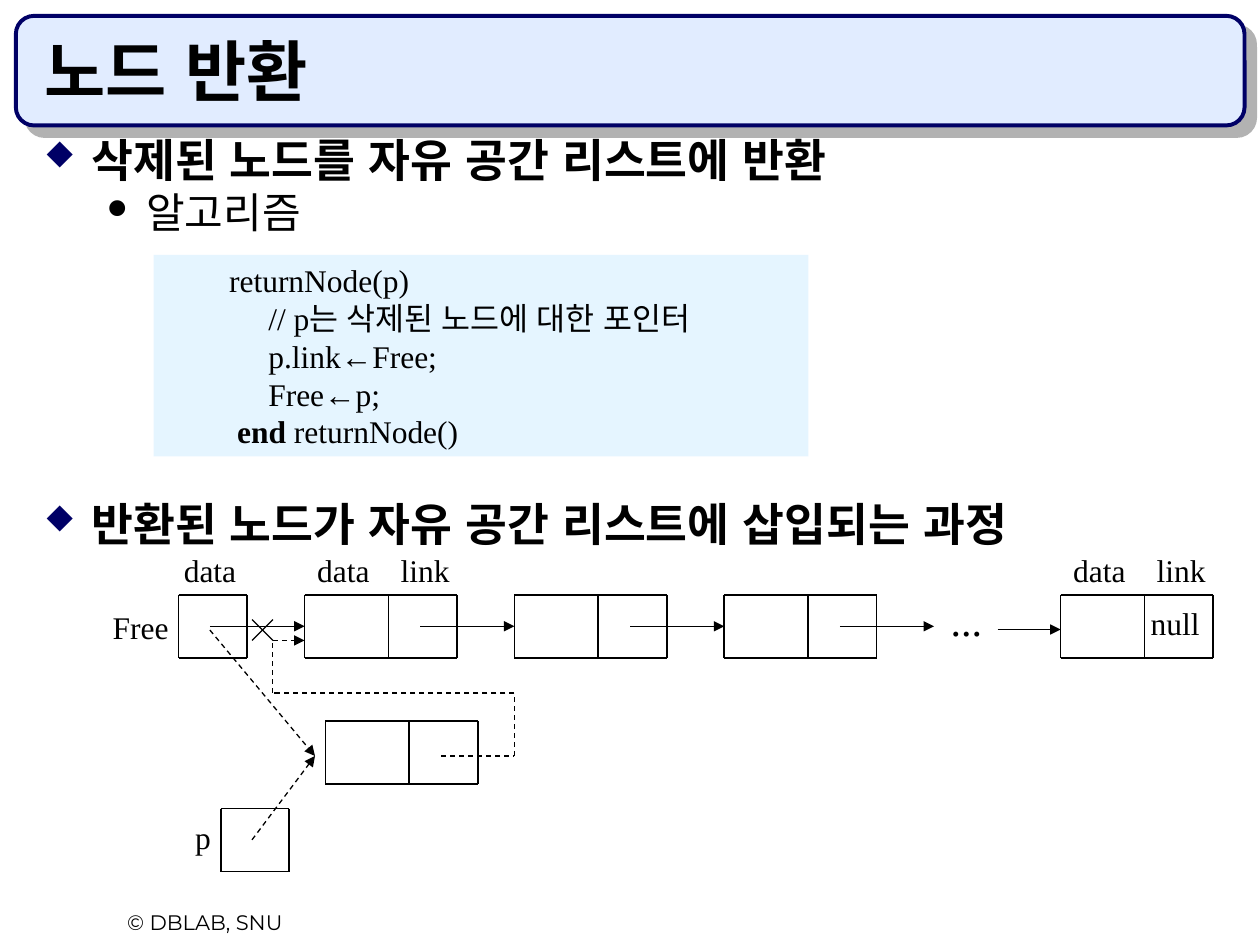
from itertools import pairwise

from lxml import etree
from pptx import Presentation
from pptx.dml.color import RGBColor
from pptx.enum.dml import MSO_LINE
from pptx.enum.shapes import MSO_CONNECTOR, MSO_SHAPE
from pptx.enum.text import MSO_ANCHOR, MSO_AUTO_SIZE, PP_ALIGN
from pptx.oxml.ns import qn
from pptx.util import Cm, Pt

BLACK = RGBColor(0x00, 0x00, 0x00)
NAVY = RGBColor(0x00, 0x00, 0x66)
PALE_BLUE = RGBColor(0xE1, 0xEC, 0xFF)
CODE_BLUE = RGBColor(0xCC, 0xEC, 0xFF)
GREY = RGBColor(0xB2, 0xB2, 0xB2)

LEFT, CENTER, RIGHT = PP_ALIGN.LEFT, PP_ALIGN.CENTER, PP_ALIGN.RIGHT
TOP, MIDDLE, BOTTOM = MSO_ANCHOR.TOP, MSO_ANCHOR.MIDDLE, MSO_ANCHOR.BOTTOM
NO_AUTOFIT = MSO_AUTO_SIZE.NONE
STRAIGHT = MSO_CONNECTOR.STRAIGHT
RECTANGLE, ROUNDED = MSO_SHAPE.RECTANGLE, MSO_SHAPE.ROUNDED_RECTANGLE
DASH = MSO_LINE.DASH

SERIF = "Times New Roman"
SANS = "Montserrat"
SYMBOLS = "Wingdings"
DIAMOND, DISC = "u", "l"

DATA_WIDTH, LINK_WIDTH, CELL_HEIGHT = 1.69, 1.38, 1.27
FIRST_NODE, NODE_PITCH, LAST_NODE = 6.14, 4.23, 21.38
ROW_TOP = 11.99
ROW_MIDDLE = ROW_TOP + CELL_HEIGHT / 2
LINK_START = 2.33
FREE_LEFT, P_LEFT, P_TOP = 3.6, 4.45, 16.3
LABEL_GAP = 0.2


def add_element(parent, tag, **attributes):
    return etree.SubElement(parent, qn(tag), attributes)


def style_para(para, size, name=SERIF, bold=False, align=LEFT):
    para.alignment = align
    font = para.font
    font.size, font.name, font.bold = Pt(size), name, bold
    font.color.rgb = BLACK
    add_element(para._p.pPr.find(qn("a:defRPr")), "a:ea", typeface=SANS)


def indent_para(para, margin, first=0):
    properties = para._p.get_or_add_pPr()
    properties.set("marL", str(Cm(margin)))
    properties.set("indent", str(Cm(first)))


def add_bullet(para, character, color, percent):
    properties = para._p.get_or_add_pPr()
    add_element(add_element(properties, "a:buClr"), "a:srgbClr", val=str(color))
    add_element(properties, "a:buSzPct", val=str(percent * 1000))
    add_element(properties, "a:buFont", typeface=SYMBOLS, pitchFamily="2", charset="2")
    add_element(properties, "a:buChar", char=character)


def add_label(page, text, left, top, width, height, size=18, name=SERIF,
              align=CENTER, anchor=MIDDLE, spacing=0.8):
    box = page.shapes.add_textbox(Cm(left), Cm(top), Cm(width), Cm(height))
    frame = box.text_frame
    frame.word_wrap = True
    frame.margin_left = frame.margin_right = 0
    frame.vertical_anchor = anchor
    para = frame.paragraphs[0]
    para.text = text
    para.line_spacing = spacing
    style_para(para, size, name, align=align)


def add_line(page, start, end, width=0.75, dashed=False, arrow=False):
    connector = page.shapes.add_connector(STRAIGHT, *map(Cm, start + end))
    line = connector.line
    line.color.rgb = BLACK
    line.width = Pt(width)
    if dashed:
        line.dash_style = DASH
    if arrow:
        add_element(line._get_or_add_ln(), "a:tailEnd", type="triangle")
    add_element(connector.element.spPr, "a:effectLst")


def add_cells(page, left, top, *widths):
    edges = [left + sum(widths[:i]) for i in range(len(widths) + 1)]
    bottom = top + CELL_HEIGHT
    for y in (top, bottom):
        add_line(page, (left, y), (edges[-1], y), width=1)
    for x in edges:
        add_line(page, (x, top), (x, bottom), width=1)


def add_node(page, left, top, labelled=False):
    add_cells(page, left, top, DATA_WIDTH, LINK_WIDTH)
    if labelled:
        add_label(page, "data", left, top - 1.19, 1.57, 1.19, anchor=BOTTOM)
        add_label(page, "link", left + DATA_WIDTH, top - 1.19, 1.48, 1.19, anchor=BOTTOM)


def add_dashed_route(page, points):
    for start, end in pairwise(points):
        add_line(page, start, end, dashed=True, arrow=end == points[-1])


def add_title(page):
    title = page.shapes.title
    title.left, title.top, title.width, title.height = Cm(0.64), Cm(0.64), Cm(23.93), Cm(1.7)
    frame = title.text_frame
    frame.text = "노드 반환"
    frame.auto_size = NO_AUTOFIT
    frame.vertical_anchor = BOTTOM
    style_para(frame.paragraphs[0], 38, bold=True)

    panel = page.shapes.add_shape(ROUNDED, Cm(0.32), Cm(0.32), Cm(24.77), Cm(2.21))
    panel.fill.solid()
    panel.fill.fore_color.rgb = PALE_BLUE
    panel.line.color.rgb = NAVY
    panel.line.width = Pt(2.25)
    effects = add_element(panel.element.spPr, "a:effectLst")
    shadow = add_element(effects, "a:outerShdw", dist=str(Pt(8.5)), dir="2700000",
                         algn="ctr", rotWithShape="0")
    add_element(shadow, "a:srgbClr", val=str(GREY))
    title.element.addprevious(panel.element)


def add_body(page):
    box = page.shapes.add_textbox(Cm(0.64), Cm(2.75), Cm(23.93), Cm(14.82))
    frame = box.text_frame
    frame.word_wrap = True
    outline = [
        ("삭제된 노드를 자유 공간 리스트에 반환", 0, 0),
        ("알고리즘", 1, 6),
        ("반환된 노드가 자유 공간 리스트에 삽입되는 과정", 0, 154),
    ]
    for index, (text, level, space) in enumerate(outline):
        para = frame.add_paragraph() if index else frame.paragraphs[0]
        para.text = text
        para.level = level
        para.line_spacing = 0.8
        para.space_before = Pt(space)
        if level:
            indent_para(para, 2.06, -0.79)
            add_bullet(para, DISC, BLACK, 65)
            style_para(para, 24)
        else:
            indent_para(para, 0.95, -0.95)
            add_bullet(para, DIAMOND, NAVY, 70)
            style_para(para, 26, bold=True)


def add_code(page):
    box = page.shapes.add_shape(RECTANGLE, Cm(3.1), Cm(5.14), Cm(13.2), Cm(4.06))
    box.shadow.inherit = False
    box.fill.solid()
    box.fill.fore_color.rgb = CODE_BLUE
    add_element(box.element.spPr.find(".//" + qn("a:srgbClr")), "a:alpha", val="50000")
    box.line.fill.background()
    frame = box.text_frame
    frame.word_wrap = True
    frame.vertical_anchor = TOP
    code = [
        (1.27, "", "returnNode(p)"),
        (2.06, "", "// p는 삭제된 노드에 대한 포인터"),
        (2.06, "", "p.link←Free;"),
        (2.06, "", "Free←p;"),
        (1.43, "end", " returnNode()"),
    ]
    for index, (margin, keyword, text) in enumerate(code):
        para = frame.add_paragraph() if index else frame.paragraphs[0]
        indent_para(para, margin)
        para.line_spacing = Pt(21.6)
        style_para(para, 18)
        if keyword:
            span = para.add_run()
            span.text = keyword
            span.font.bold = True
        para.add_run().text = text


def add_list_diagram(page):
    for i in range(3):
        left = FIRST_NODE + i * NODE_PITCH
        add_node(page, left, ROW_TOP, labelled=i == 0)
        start = left + LINK_START
        add_line(page, (start, ROW_MIDDLE), (start + 1.9, ROW_MIDDLE), arrow=True)
    add_node(page, LAST_NODE, ROW_TOP, labelled=True)
    add_label(page, "null", 22.94, ROW_TOP, 1.5, CELL_HEIGHT)
    add_label(page, "...", 18.42, 11.85, 2.12, 1.27, size=24, anchor=TOP, spacing=1.0)
    add_line(page, (20.11, 12.69), (LAST_NODE, 12.69), arrow=True)

    add_cells(page, FREE_LEFT, ROW_TOP, LINK_WIDTH)
    add_label(page, "data", 3.39, ROW_TOP - 1.19, 1.69, 1.19, anchor=BOTTOM)
    add_label(page, "Free", 1.06, 12.07, FREE_LEFT - LABEL_GAP - 1.06, CELL_HEIGHT, align=RIGHT)
    add_line(page, (4.23, ROW_MIDDLE), (FIRST_NODE, ROW_MIDDLE), arrow=True)
    for start, end in ((12.91, 12.49), (12.49, 12.91)):
        add_line(page, (5.08, start), (5.5, end))

    add_node(page, 6.56, 14.53)
    add_cells(page, P_LEFT, P_TOP, LINK_WIDTH)
    add_label(page, "p", 2.96, P_TOP, P_LEFT - LABEL_GAP - 2.96, CELL_HEIGHT, align=RIGHT)
    for start in ((4.23, 12.7), (5.08, 16.93)):
        add_line(page, start, (6.35, 15.24), dashed=True, arrow=True)
    add_dashed_route(page, [(8.89, 15.24), (10.37, 15.24), (10.37, 13.97),
                            (5.5, 13.97), (5.5, 12.91), (FIRST_NODE, 12.91)])


def main():
    deck = Presentation()
    deck.slide_width, deck.slide_height = Cm(25.4), Cm(19.05)
    page = deck.slides.add_slide(deck.slide_layouts[5])
    add_title(page)
    add_label(page, "© DBLAB, SNU", 1.06, 18.22, 6.14, 0.77, size=12, name=SANS,
              anchor=TOP, spacing=1.0)
    add_body(page)
    add_list_diagram(page)
    add_code(page)
    deck.save("out.pptx")


if __name__ == "__main__":
    main()
